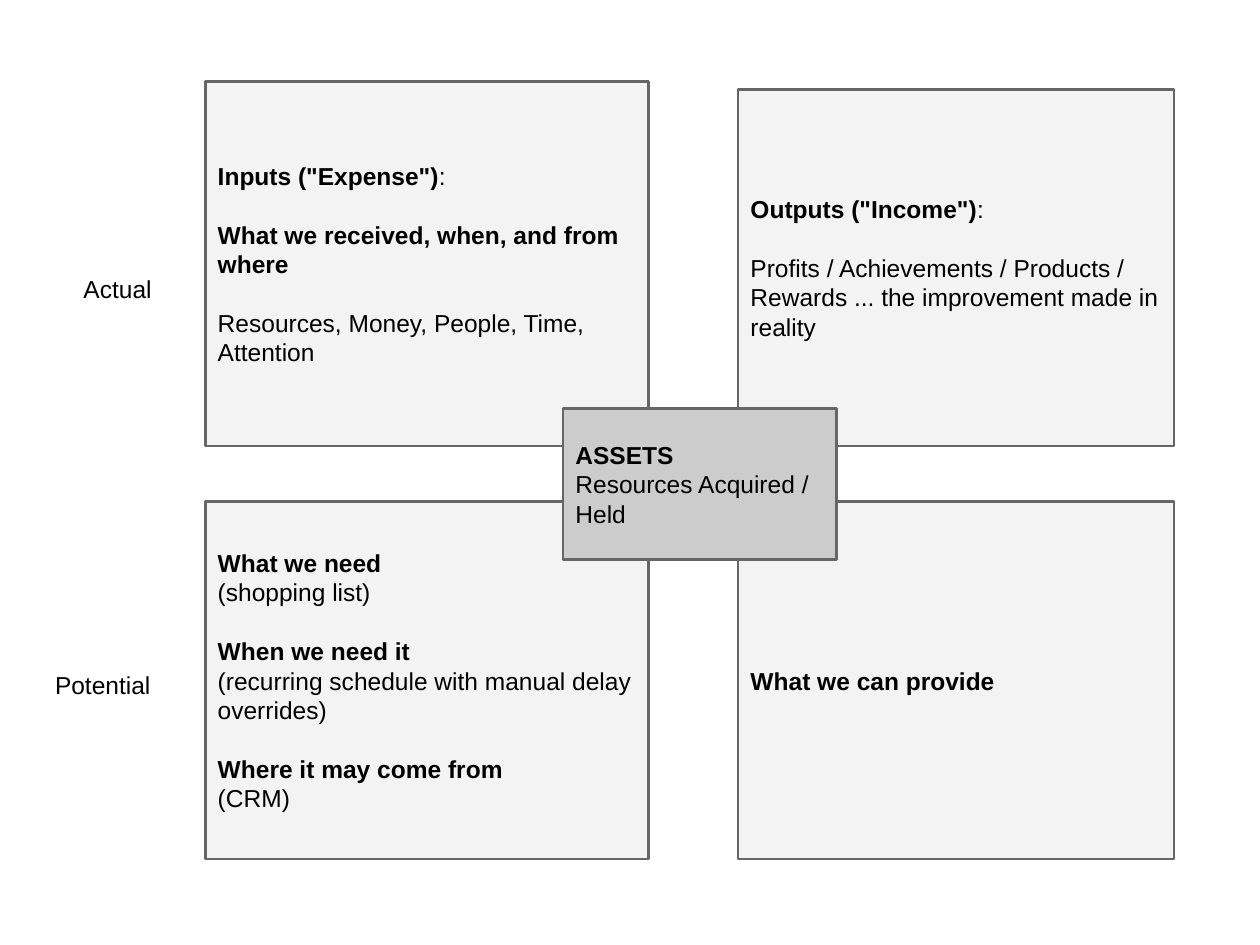
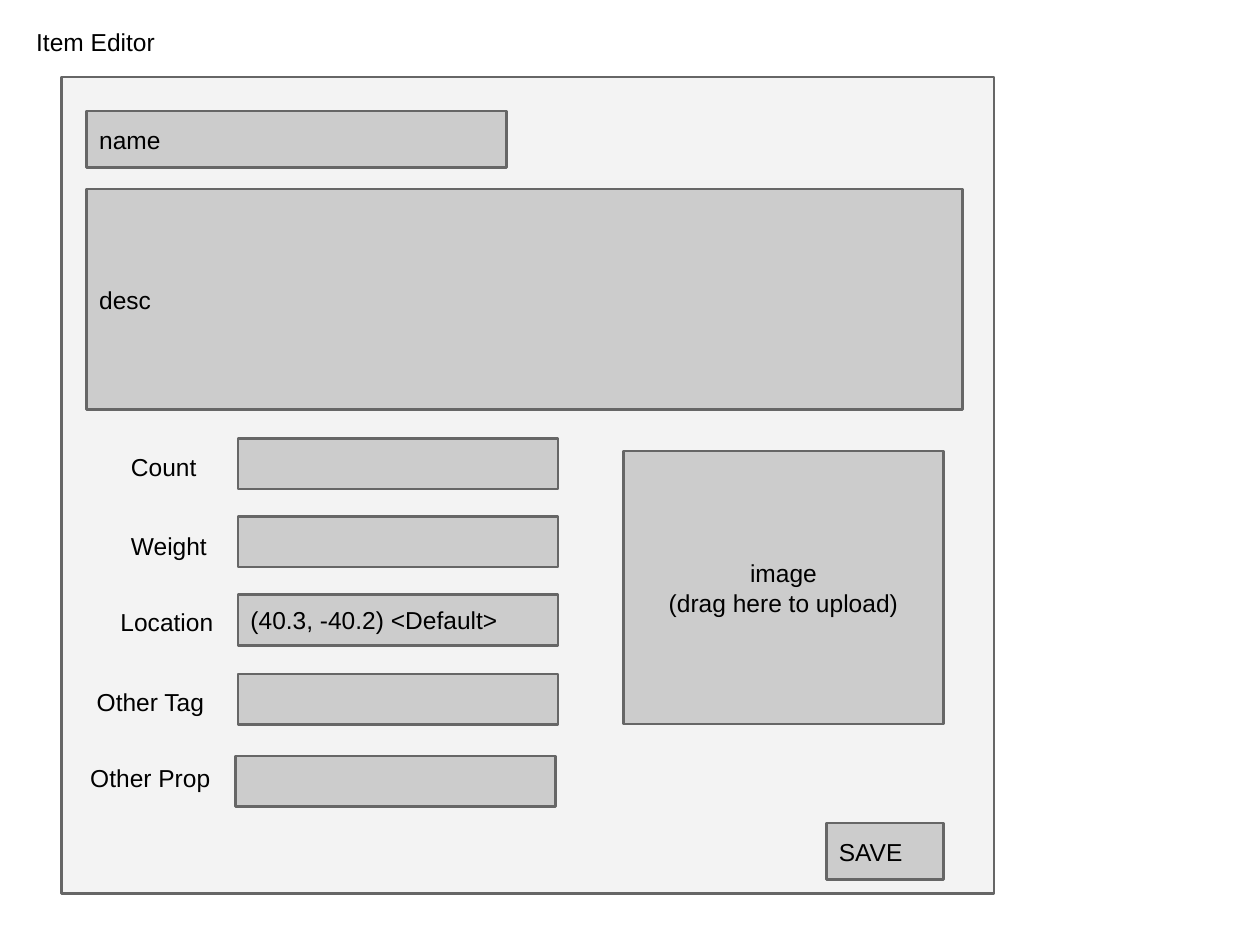
from dataclasses import dataclass

from pptx import Presentation
from pptx.dml.color import RGBColor
from pptx.enum.shapes import MSO_SHAPE as Shape
from pptx.enum.text import MSO_ANCHOR as Anchor, PP_ALIGN as Align
from pptx.util import Cm, Pt


@dataclass(frozen=True)
class Theme:
    font: str = "Arial"
    size: Pt = Pt(14)
    blank_line: Pt = Pt(16.8)
    border_width: Pt = Pt(1.5)
    inset: Cm = Cm(0.25)
    ink: RGBColor = RGBColor(0x00, 0x00, 0x00)
    border: RGBColor = RGBColor(0x66, 0x66, 0x66)
    panel: RGBColor = RGBColor(0xF3, 0xF3, 0xF3)
    field: RGBColor = RGBColor(0xCC, 0xCC, 0xCC)


THEME = Theme()


@dataclass(frozen=True)
class Line:
    """One paragraph: its text, a plain tail after it, and a gap above it."""
    text: str
    bold: bool = False
    tail: str = ""
    gap: bool = False


def style_run(run, bold):
    run.font.name = THEME.font
    run.font.size = THEME.size
    run.font.color.rgb = THEME.ink
    run.font.bold = bold


def write_lines(frame, lines, align, anchor):
    frame.word_wrap = True
    frame.vertical_anchor = anchor
    frame.margin_left = frame.margin_right = THEME.inset
    frame.margin_top = frame.margin_bottom = THEME.inset
    frame.text = "\n".join(line.text for line in lines)
    for paragraph, line in zip(frame.paragraphs, lines):
        paragraph.alignment = align
        if line.gap:
            paragraph.space_before = THEME.blank_line
        style_run(paragraph.runs[0], line.bold)
        if line.tail:
            tail = paragraph.add_run()
            tail.text = line.tail
            style_run(tail, False)


def add_box(slide, left, top, width, height, fill, lines=(), align=Align.LEFT):
    box = slide.shapes.add_shape(
        Shape.RECTANGLE, Cm(left), Cm(top), Cm(width), Cm(height))
    box.shadow.inherit = False
    box.fill.solid()
    box.fill.fore_color.rgb = fill
    box.line.color.rgb = THEME.border
    box.line.width = THEME.border_width
    if lines:
        write_lines(box.text_frame, lines, align, Anchor.MIDDLE)


def add_label(slide, left, top, width, height, text, align=Align.LEFT):
    label = slide.shapes.add_textbox(Cm(left), Cm(top), Cm(width), Cm(height))
    write_lines(label.text_frame, [Line(text)], align, Anchor.TOP)


def build_resource_matrix(slide):
    inputs_left, inputs_width = 4.14, 8.94
    outputs_left, outputs_width = 14.88, 8.79
    potential_top, potential_height = 10.11, 7.21

    add_box(slide, outputs_left, 1.8, outputs_width, 7.19, THEME.panel, [
        Line('Outputs ("Income")', bold=True, tail=":"),
        Line("Profits / Achievements / Products / Rewards ... "
             "the improvement made in reality", gap=True),
    ])
    add_box(slide, inputs_left, 1.65, inputs_width, 7.34, THEME.panel, [
        Line('Inputs ("Expense")', bold=True, tail=":"),
        Line("What we received, when, and from where", bold=True, gap=True),
        Line("Resources, Money, People, Time, Attention", gap=True),
    ])
    add_label(slide, 1.35, 5.28, 1.96, 1.52, "Actual", Align.RIGHT)
    add_label(slide, 0.86, 13.26, 2.92, 1.17, "Potential")
    add_box(slide, inputs_left, potential_top, inputs_width, potential_height,
            THEME.panel, [
                Line("What we need", bold=True),
                Line("(shopping list)"),
                Line("When we need it", bold=True, gap=True),
                Line("(recurring schedule with manual delay overrides)"),
                Line("Where it may come from", bold=True, gap=True),
                Line("(CRM)"),
            ])
    add_box(slide, outputs_left, potential_top, outputs_width,
            potential_height, THEME.panel,
            [Line("What we can provide", bold=True)])
    add_box(slide, 11.35, 8.23, 5.51, 3.05, THEME.field, [
        Line("ASSETS", bold=True),
        Line("Resources Acquired /"),
        Line("Held"),
    ])


def build_item_editor(slide):
    field_width, row_height = 6.45, 1.02
    # label, label left, label top, label width, field left, field top, value
    properties = [
        ("Count", 2.39, 8.86, 2.16, 4.8, 8.84, ""),
        ("Weight", 2.39, 10.46, 2.16, 4.8, 10.41, ""),
        ("Location", 2.18, 11.99, 2.59, 4.8, 11.99, "(40.3, -40.2) <Default>"),
        ("Other Tag", 1.7, 13.59, 3.53, 4.8, 13.59, ""),
        ("Other Prop", 1.57, 15.14, 3.53, 4.75, 15.24, ""),
    ]

    add_label(slide, 0.48, 0.3, 10.77, 1.37, "Item Editor")
    add_box(slide, 1.24, 1.55, 18.8, 16.46, THEME.panel)
    add_box(slide, 1.75, 2.24, 8.46, 1.14, THEME.field, [Line("name")])
    add_box(slide, 1.75, 3.81, 17.65, 4.45, THEME.field, [Line("desc")])
    for (name, label_left, label_top, label_width,
         field_left, field_top, value) in properties:
        add_box(slide, field_left, field_top, field_width, row_height,
                THEME.field, [Line(value)] if value else ())
        add_label(slide, label_left, label_top, label_width, row_height, name)
    add_box(slide, 12.57, 9.09, field_width, 5.51, THEME.field,
            [Line("image"), Line("(drag here to upload)")], Align.CENTER)
    add_box(slide, 16.66, 16.59, 2.36, 1.14, THEME.field, [Line("SAVE")])


def main():
    deck = Presentation()
    deck.slide_width, deck.slide_height = Cm(25.4), Cm(19.05)
    blank = deck.slide_layouts[6]
    for build in (build_resource_matrix, build_item_editor):
        build(deck.slides.add_slide(blank))
    deck.save("out.pptx")


if __name__ == "__main__":
    main()
